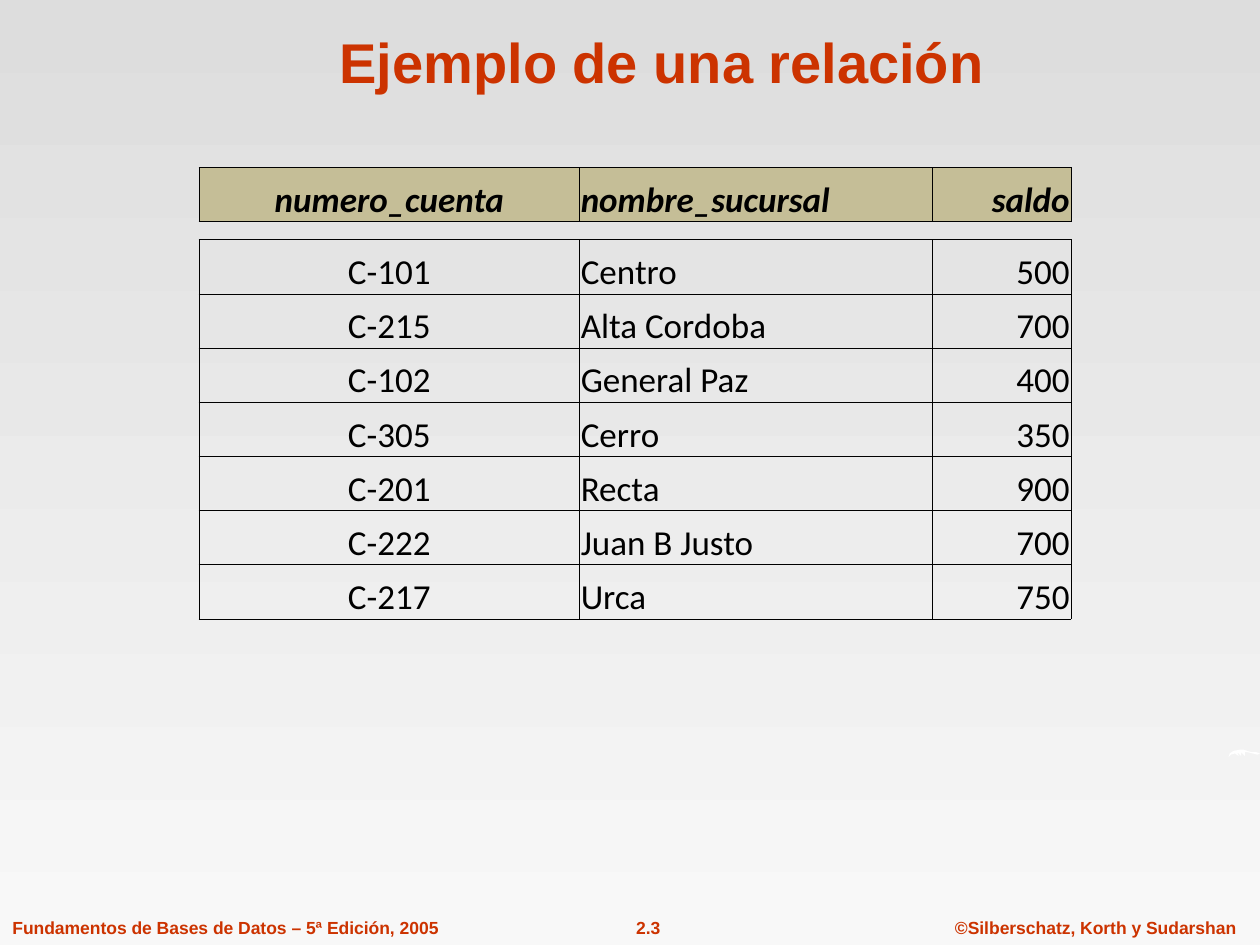
from lxml.etree import SubElement
from pptx import Presentation
from pptx.dml.color import RGBColor
from pptx.enum.text import MSO_ANCHOR, PP_ALIGN
from pptx.oxml.ns import qn
from pptx.util import Inches, Pt

COLORS = {"accent": "CC3300", "ink": "000000", "header": "C5BE97",
          "bg_top": "DDDDDD", "bg_bottom": "F8F8F8", "white": "FFFFFF"}
ALIGNS = (PP_ALIGN.CENTER, PP_ALIGN.LEFT, PP_ALIGN.RIGHT)
COLS = (3.02, 2.8, 1.1)
ROW_H, GAP_H = 0.43, 0.12
HEADER = ("numero_cuenta", "nombre_sucursal", "saldo")
ACCOUNTS = (
    ("C-101", "Centro", "500"),
    ("C-215", "Alta Cordoba", "700"),
    ("C-102", "General Paz", "400"),
    ("C-305", "Cerro", "350"),
    ("C-201", "Recta", "900"),
    ("C-222", "Juan B Justo", "700"),
    ("C-217", "Urca", "750"),
)
FOOTERS = (
    ("Fundamentos de Bases de Datos – 5ª Edición, 2005", 0, 3.58, PP_ALIGN.LEFT),
    ("2.3", 4.9, 0.49, PP_ALIGN.CENTER),
    ("©Silberschatz, Korth y Sudarshan", 7.48, 2.43, PP_ALIGN.CENTER),
)
SWOOSH = (
    (9.75, 6.01), (9.76, 5.98), (9.79, 5.96), (9.84, 5.95), (9.87, 5.95),
    (9.93, 5.97), (9.97, 5.97), (10, 5.98), (9.98, 5.99), (9.94, 5.98),
    (9.9, 5.97), (9.88, 5.97), (9.88, 6), (9.85, 5.97), (9.85, 6),
    (9.82, 5.97), (9.83, 6), (9.8, 5.98), (9.77, 5.99),
)


def rgb(name):
    return RGBColor.from_string(COLORS[name])


def write(tf, text, size=10, font="Arial", color="accent", bold=True,
          italic=False, align=PP_ALIGN.LEFT):
    p = tf.paragraphs[0]
    p.alignment = align
    r = p.add_run()
    r.text = text
    r.font.size, r.font.name = Pt(size), font
    r.font.bold, r.font.italic = bold, italic
    r.font.color.rgb = rgb(color)


def set_background(s):
    fill = s.background.fill
    fill.gradient()
    fill.gradient_angle = 270
    for stop, name in zip(fill.gradient_stops, ("bg_top", "bg_bottom")):
        stop.color.rgb = rgb(name)


def add_swoosh(s):
    points = [(Inches(x), Inches(y)) for x, y in SWOOSH]
    fb = s.shapes.build_freeform(*points[0])
    fb.add_line_segments(points[1:], close=True)
    sp = fb.convert_to_shape()
    sp.shadow.inherit = False
    sp.fill.solid()
    sp.fill.fore_color.rgb = rgb("white")
    sp.line.fill.background()


def add_footer(s, text, left, width, align):
    sp = s.shapes.add_textbox(Inches(left), Inches(7.23), Inches(width), Inches(0.27))
    sp.text_frame.word_wrap = False
    write(sp.text_frame, text, align=align)


def set_title(s, text):
    sp = s.shapes.title
    sp.left, sp.top = Inches(0.84), Inches(0.13)
    sp.width, sp.height = Inches(8.83), Inches(0.67)
    sp.text_frame.vertical_anchor = MSO_ANCHOR.BOTTOM
    write(sp.text_frame, text, size=32, align=PP_ALIGN.CENTER)


def set_borders(cell, sides):
    tcPr = cell._tc.get_or_add_tcPr()
    for i, side in enumerate(("L", "R", "T", "B")):
        ln = tcPr.makeelement(qn(f"a:ln{side}"), {"w": str(Pt(0.5))})
        if side in sides:
            fill = SubElement(ln, qn("a:solidFill"))
            SubElement(fill, qn("a:srgbClr"), val=COLORS["ink"])
        else:
            SubElement(ln, qn("a:noFill"))
        tcPr.insert(i, ln)  # borders come before the fill


def format_cell(cell, text, align, header):
    cell.margin_left = cell.margin_right = cell.margin_top = Inches(0.01)
    cell.margin_bottom = 0
    cell.vertical_anchor = MSO_ANCHOR.BOTTOM
    if header:
        cell.fill.solid()
        cell.fill.fore_color.rgb = rgb("header")
    else:
        cell.fill.background()
    if text:
        write(cell.text_frame, text, size=20, font="Calibri", color="ink",
              bold=header, italic=header, align=align)
    else:  # small end mark keeps the gap row low
        SubElement(cell.text_frame.paragraphs[0]._p, qn("a:endParaRPr"), sz="800")
    set_borders(cell, "LRTB" if text else "TB")


def add_accounts_table(s):
    rows = (HEADER, ("",) * len(COLS)) + ACCOUNTS
    heights = [ROW_H if row[0] else GAP_H for row in rows]
    frame = s.shapes.add_table(len(rows), len(COLS), Inches(1.58), Inches(1.33),
                               Inches(sum(COLS)), Inches(sum(heights)))
    table = frame.table
    table.first_row = table.horz_banding = False
    for col, width in zip(table.columns, COLS):
        col.width = Inches(width)
    for i, (row, height) in enumerate(zip(rows, heights)):
        table.rows[i].height = Inches(height)
        for j, (text, align) in enumerate(zip(row, ALIGNS)):
            format_cell(table.cell(i, j), text, align, header=i == 0)


def main():
    prs = Presentation()
    prs.slide_width, prs.slide_height = Inches(10), Inches(7.5)
    s = prs.slides.add_slide(prs.slide_layouts[5])
    set_background(s)
    # Footer and edge ornament
    add_swoosh(s)
    for footer in FOOTERS:
        add_footer(s, *footer)
    # Content
    set_title(s, "Ejemplo de una relación")
    add_accounts_table(s)
    prs.save("out.pptx")


if __name__ == "__main__":
    main()
